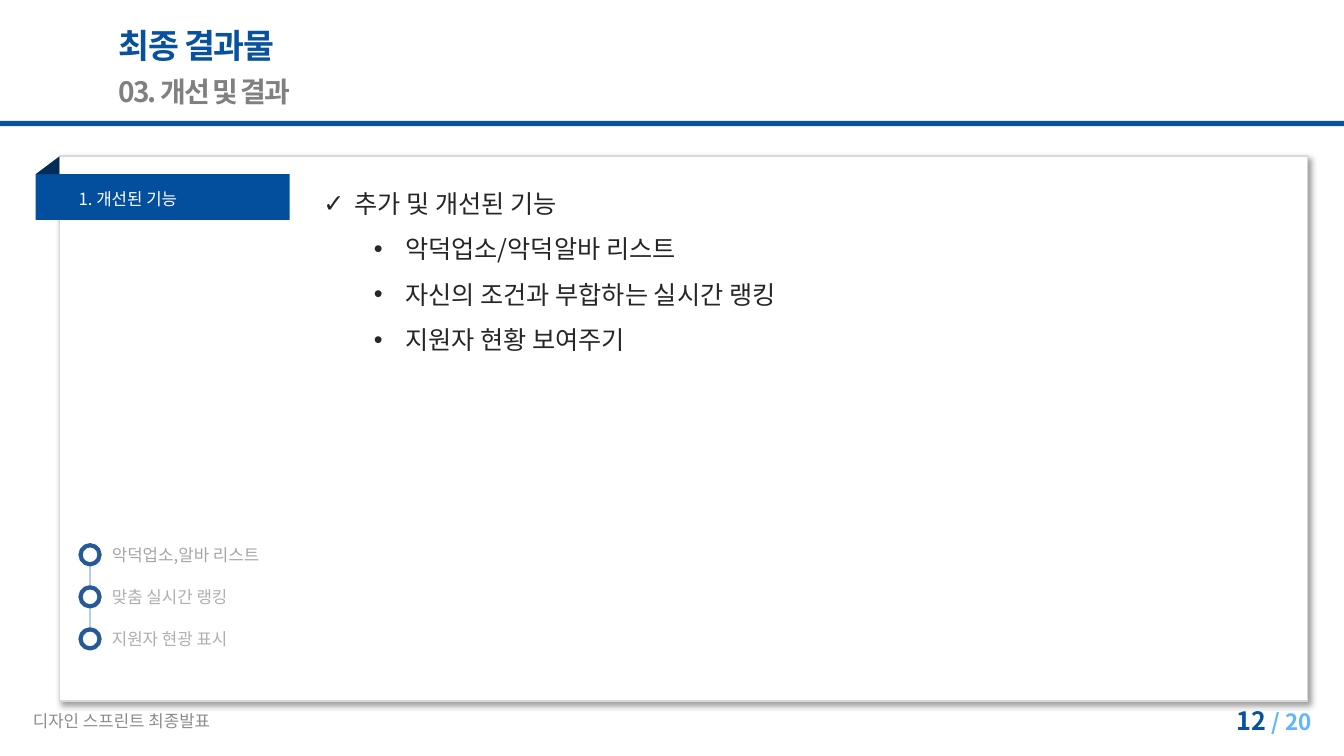
import pptx
import pptx.util
import pptx.dml.color
import pptx.enum.shapes
import pptx.enum.text
import pptx.oxml
import pptx.oxml.ns
from lxml import etree

Cm = pptx.util.Cm
Pt = pptx.util.Pt
KIND = pptx.enum.shapes.MSO_SHAPE
ALIGN = pptx.enum.text.PP_ALIGN
ANCHOR = pptx.enum.text.MSO_ANCHOR
FIT = pptx.enum.text.MSO_AUTO_SIZE
qn = pptx.oxml.ns.qn

FONT = "Noto Sans CJK KR"
HUES = {
    "white": "FFFFFF", "edge": "D9D9D9", "tab": "034E9D", "fold": "022C5A",
    "blue": "08519F", "sky": "61B6FF", "gray": "808080", "foot": "8C8C8C",
    "body": "262626", "link": "B9CDE5", "ring": "255997",
    "first": "A6A6A6", "next": "AFAFAF", "black": "000000",
}


def tint(name):
    return pptx.dml.color.RGBColor.from_string(HUES[name])


def place(shape, box):
    shape.left, shape.top, shape.width, shape.height = [Cm(v) for v in box]


def shade(shape):
    fx = etree.SubElement(shape._element.spPr, qn("a:effectLst"))
    glow = etree.SubElement(fx, qn("a:outerShdw"), blurRad=str(Pt(4)),
                            dist=str(Pt(3)), dir="2700000", algn="tl", rotWithShape="0")
    hue = etree.SubElement(glow, qn("a:srgbClr"), val=HUES["black"])
    etree.SubElement(hue, qn("a:alpha"), val="40000")


def draw(slide, kind, box, fill, line=None, width=1):
    shape = slide.shapes.add_shape(kind, *[Cm(v) for v in box])
    shape.shadow.inherit = False
    shape.fill.solid()
    shape.fill.fore_color.rgb = tint(fill)
    if line:
        shape.line.color.rgb = tint(line)
        shape.line.width = Pt(width)
    else:
        shape.line.fill.background()
    return shape


def add_run(para, words, size, color, bold=False, space=0):
    run = para.add_run()
    run.text = words
    run.font.name = FONT
    run.font.size = Pt(size)
    run.font.bold = bold
    run.font.color.rgb = tint(color)
    props = run.font._element
    east = etree.Element(qn("a:ea"), typeface=FONT)
    props.find(qn("a:latin")).addnext(east)
    if space:
        props.set("spc", str(int(space * 100)))


def write(slide, box, words, size=12, color="body", bold=False, space=0, align=ALIGN.LEFT,
          anchor=ANCHOR.TOP, wrap=True, grow=True, shape=None):
    if shape is None:
        shape = slide.shapes.add_textbox(0, 0, 0, 0)
    place(shape, box)
    frame = shape.text_frame
    frame.word_wrap = wrap
    frame.auto_size = FIT.SHAPE_TO_FIT_TEXT if grow else FIT.NONE
    frame.vertical_anchor = anchor
    para = frame.paragraphs[0]
    para.alignment = align
    add_run(para, words, size, color, bold, space)
    return frame


def mark(para, sign, left):
    para.line_spacing = 1.5
    props = para._p.get_or_add_pPr()
    props.set("marL", str(Cm(left)))
    props.set("indent", str(Cm(-0.79)))
    etree.SubElement(props, qn("a:buFont"), typeface="Arial")
    etree.SubElement(props, qn("a:buChar"), char=sign)


def header(slide, box):
    x, y, w, h = box
    draw(slide, KIND.RECTANGLE, (x, y + h - 0.13, w, 0.13), "blue")
    write(slide, (x + 2.74, y + 0.5, 16, 1.28), "최종 결과물", size=24, color="blue",
          bold=True, space=-1, shape=slide.shapes.title)
    write(slide, (x + 2.74, y + 1.75, 9.07, 1.12), "03. 개선 및 결과", size=20,
          color="gray", bold=True, space=-1.5)


def panel(slide, box):
    x, y, w, h = box
    card = draw(slide, KIND.RECTANGLE, box, "white", "edge", 1.25)
    card._element.spPr.remove(card._element.spPr.find(qn("a:effectLst")))
    shade(card)
    draw(slide, KIND.RECTANGLE, (x - 0.6, y + 0.45, 6.4, 1.15), "tab")
    fold = draw(slide, KIND.ISOSCELES_TRIANGLE, (x - 0.6, y, 0.6, 0.45), "fold")
    fold.adjustments[0] = 1
    write(slide, (x + 0.23, y + 0.7, 6.4, 0.77), "1. 개선된 기능", color="white")
    points(slide, (x + 6.4, y + 0.3, 22, 4.72))
    steps(slide, (x + 0.53, y + 9.8, 5.2, 2.6))


def points(slide, box):
    frame = write(slide, box, "추가 및 개선된 기능", size=18)
    mark(frame.paragraphs[0], "✓", 0.79)
    for words in ("악덕업소/악덕알바 리스트", "자신의 조건과 부합하는 실시간 랭킹",
                  "지원자 현황 보여주기"):
        para = frame.add_paragraph()
        para.level = 1
        mark(para, "•", 2.06)
        add_run(para, words, 18, "body")


def steps(slide, box):
    x, y, w, h = box
    dot = 0.48
    gap = (h - dot) / 2
    mid = x + dot / 2
    link = slide.shapes.add_connector(pptx.enum.shapes.MSO_CONNECTOR.STRAIGHT,
                                      Cm(mid), Cm(y + dot), Cm(mid), Cm(y + h))
    link.line.color.rgb = tint("link")
    link.line.width = Pt(1.75)
    etree.SubElement(link._element.spPr, qn("a:effectLst"))
    rows = (("악덕업소,알바 리스트", "first", 4.6), ("맞춤 실시간 랭킹", "next", 3.81),
            ("지원자 현광 표시", "next", 3.81))
    for i, (words, color, wide) in enumerate(rows):
        top = y + i * gap
        draw(slide, KIND.OVAL, (x, top, dot, dot), "white", "ring", 3)
        write(slide, (x + 0.54, top - 0.15, wide, 0.77), words, color=color, wrap=False)


def footer(slide, box):
    x, y, w, h = box
    write(slide, (x, y, 15.04, h), "디자인 스프린트 최종발표", color="foot",
          anchor=ANCHOR.MIDDLE, grow=False)
    frame = write(slide, (x + w - 7.62, y, 7.62, h), "12", size=18, color="blue", bold=True,
                  align=ALIGN.RIGHT, anchor=ANCHOR.MIDDLE, grow=False)
    para = frame.paragraphs[0]
    add_run(para, " ", 16, "blue", True)
    add_run(para, "/ 20", 16, "sky", True)


def main():
    deck = pptx.Presentation()
    deck.slide_width = Cm(33.87)
    deck.slide_height = Cm(19.05)
    slide = deck.slides.add_slide(deck.slide_layouts[5])
    header(slide, (0, 0, 33.87, 3.18))
    panel(slide, (1.5, 3.94, 31.45, 13.72))
    footer(slide, (0.58, 17.65, 32.72, 1.02))
    deck.save("out.pptx")


if __name__ == "__main__":
    main()
